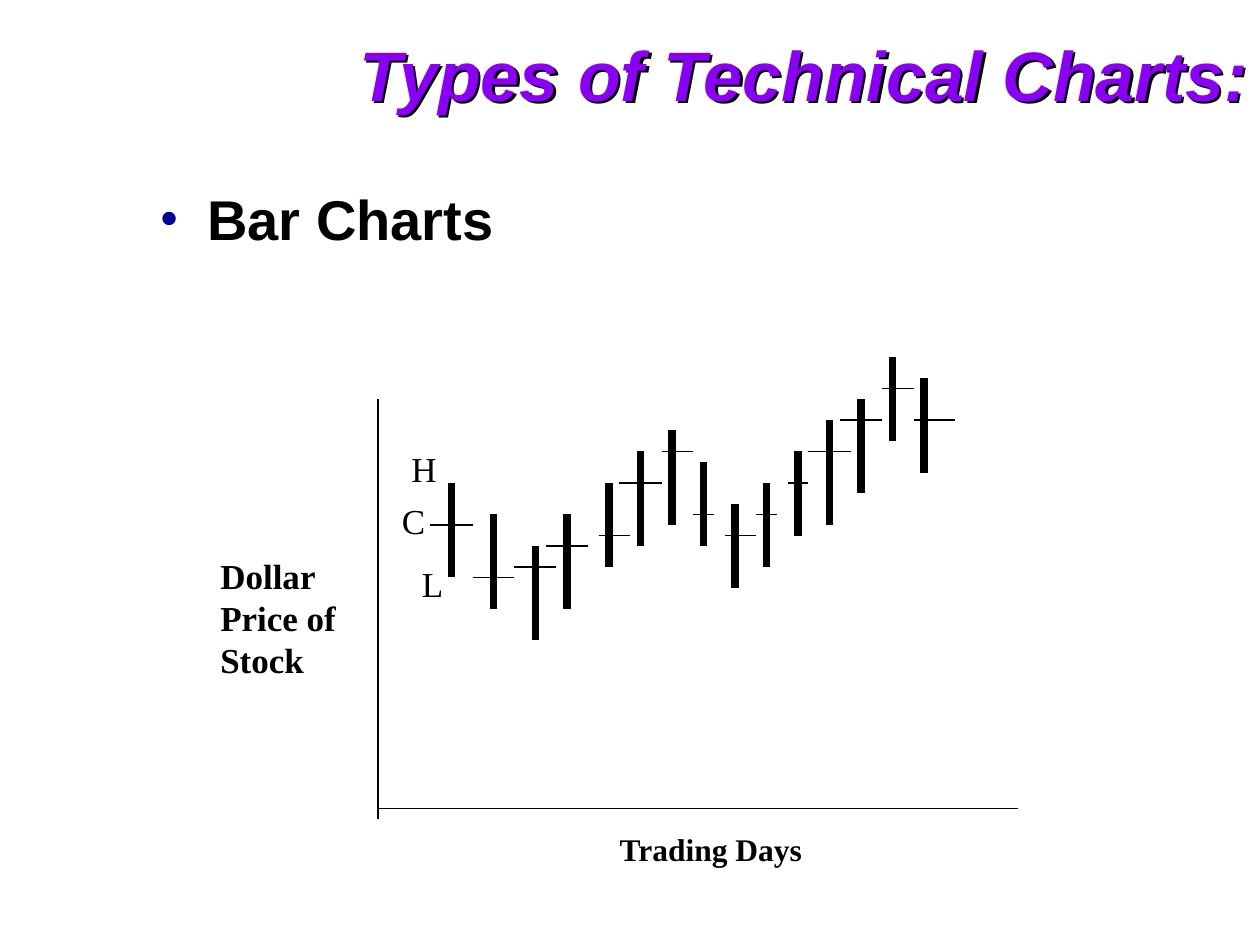
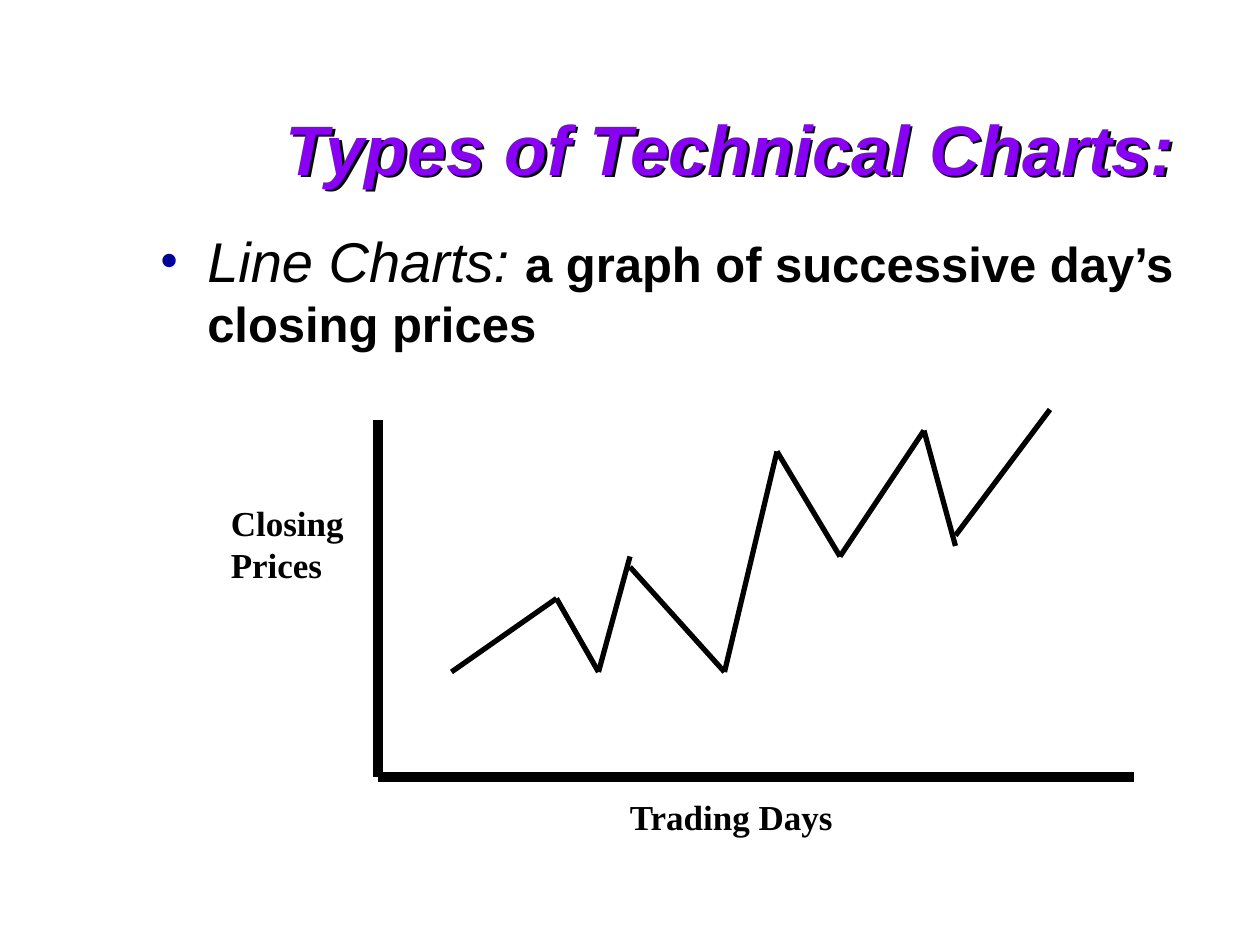
from itertools import pairwise

from pptx import Presentation
from pptx.dml.color import RGBColor
from pptx.enum.shapes import MSO_CONNECTOR
from pptx.enum.text import MSO_ANCHOR, MSO_AUTO_SIZE, PP_ALIGN
from pptx.oxml import parse_xml
from pptx.oxml.ns import nsdecls
from pptx.util import Inches, Pt

COLS, ROWS = 120, 90
TITLE = "Types of Technical Charts:"
SANS, SERIF = "Arial", "Times New Roman"
PURPLE, BLACK, NAVY = "8901F3", "000000", "000099"

DAYS = [
    (43, 46, 55, 50, 41, 45),
    (47, 49, 58, 55, 45, 49),
    (51, 52, 61, 54, 49, 53),
    (54, 49, 58, 52, 52, 56),
    (58, 46, 54, 51, 57, 60),
    (61, 43, 52, 46, 59, 63),
    (64, 41, 50, 43, 63, 66),
    (67, 44, 52, 49, 66, 68),
    (70, 48, 56, 51, 69, 72),
    (73, 46, 54, 49, 72, 74),
    (76, 43, 51, 46, 75, 77),
    (79, 40, 50, 43, 77, 81),
    (82, 38, 47, 40, 80, 84),
    (85, 34, 42, 37, 84, 87),
    (88, 36, 45, 40, 87, 91),
]

CLOSING_RUNS = [
    [(43, 64), (53, 57), (57, 64), (60, 53)],
    [(60, 54), (69, 64), (74, 43), (80, 53), (88, 41), (91, 52)],
    [(91, 51), (100, 39)],
]


def rgb(color):
    return RGBColor.from_string(color)


class Deck:
    def __init__(self):
        self.prs = Presentation()
        self.prs.slide_width, self.prs.slide_height = Inches(10), Inches(7.5)
        self.s = None

    def x(self, cols):
        return round(self.prs.slide_width * cols / COLS)

    def y(self, rows):
        return round(self.prs.slide_height * rows / ROWS)

    def place(self, sp, col, row, cols, rows):
        sp.left, sp.top = self.x(col), self.y(row)
        sp.width, sp.height = self.x(cols), self.y(rows)

    def style(self, r, font, size, color=BLACK, bold=False, italic=False):
        r.font.name, r.font.size = font, Pt(size)
        r.font.bold, r.font.italic = bold, italic
        r.font.color.rgb = rgb(color)

    def slide(self, col, row):
        self.s = self.prs.slides.add_slide(self.prs.slide_layouts[5])
        sp = self.s.shapes.title
        self.place(sp, col, row, 88, 10)
        sp.fill.background()
        sp._element.spPr.append(parse_xml(
            f'<a:effectLst {nsdecls("a")}><a:outerShdw dist="25400" dir="2700000">'
            f'<a:srgbClr val="{BLACK}"/></a:outerShdw></a:effectLst>'))
        tf = sp.text_frame
        tf.text = TITLE
        tf.auto_size = MSO_AUTO_SIZE.NONE
        tf.vertical_anchor = MSO_ANCHOR.MIDDLE
        p = tf.paragraphs[0]
        p.alignment = PP_ALIGN.LEFT
        self.style(p.runs[0], SANS, 40, PURPLE, bold=True, italic=True)

    def bullet(self, row, *parts):
        sp = self.s.shapes.add_textbox(0, 0, 0, 0)
        self.place(sp, 14, row, 100, 56)
        tf = sp.text_frame
        tf.word_wrap = True
        p = tf.paragraphs[0]
        pPr = p._p.get_or_add_pPr()
        pPr.set("marL", str(Inches(0.38)))
        pPr.set("indent", str(-Inches(0.38)))
        for xml in (f'<a:buClr {nsdecls("a")}><a:srgbClr val="{NAVY}"/></a:buClr>',
                    f'<a:buFont {nsdecls("a")} typeface="{SERIF}"/>',
                    f'<a:buChar {nsdecls("a")} char="•"/>'):
            pPr.append(parse_xml(xml))
        for text, size, bold, italic in parts:
            r = p.add_run()
            r.text = text
            self.style(r, SANS, size, bold=bold, italic=italic)

    def label(self, text, col, row, cols, rows, size=20, bold=True):
        sp = self.s.shapes.add_textbox(0, 0, 0, 0)
        self.place(sp, col, row, cols, rows)
        tf = sp.text_frame
        tf.text = text
        tf.word_wrap = False
        tf.auto_size = MSO_AUTO_SIZE.SHAPE_TO_FIT_TEXT
        for p in tf.paragraphs:
            for r in p.runs:
                self.style(r, SERIF, size, bold=bold)

    def line(self, start, end, width):
        sp = self.s.shapes.add_connector(
            MSO_CONNECTOR.STRAIGHT, self.x(start[0]), self.y(start[1]),
            self.x(end[0]), self.y(end[1]))
        sp.line.color.rgb = rgb(BLACK)
        sp.line.width = Pt(width)
        sp._element.spPr.append(parse_xml(f'<a:effectLst {nsdecls("a")}/>'))

    def polyline(self, points, width):
        for start, end in pairwise(points):
            self.line(start, end, width)


def bar_chart_slide(deck):
    deck.slide(33, 2)
    deck.bullet(17, ("Bar Charts", 32, True, False))
    deck.line((36, 38), (36, 78), 1)
    deck.line((36, 77), (97, 77), 1)
    for day, high, low, close, left, right in DAYS:
        deck.line((day, high), (day, low), 4.5)
        deck.line((left, close), (right, close), 1)
    deck.label("Trading Days", 57.84, 78.5, 19.9, 4.8, size=18)
    deck.label("Dollar\nPrice of\nStock", 19.8, 52.2, 13.5, 13.2)
    for text, col, row, cols in (("H", 38, 42, 4.8), ("L", 39, 53, 4.4),
                                 ("C", 37.1, 47, 4.6)):
        deck.label(text, col, row, cols, 5.3, bold=False)


def line_chart_slide(deck):
    deck.slide(26, 9)
    deck.bullet(21, ("Line Charts: ", 32, False, True),
                ("a graph of successive day’s closing prices", 28, True, False))
    deck.line((36, 40), (36, 74), 6)
    deck.line((36, 74), (91, 74), 6)
    deck.line((90, 74), (108, 74), 6)
    for points in CLOSING_RUNS:
        deck.polyline(points, 3)
    deck.label("Trading Days", 58.8, 75.2, 22, 5.3)
    deck.label("Closing\nPrices", 20.8, 47.2, 13.5, 9.2)


def main():
    deck = Deck()
    bar_chart_slide(deck)
    line_chart_slide(deck)
    deck.prs.save("out.pptx")


if __name__ == "__main__":
    main()
